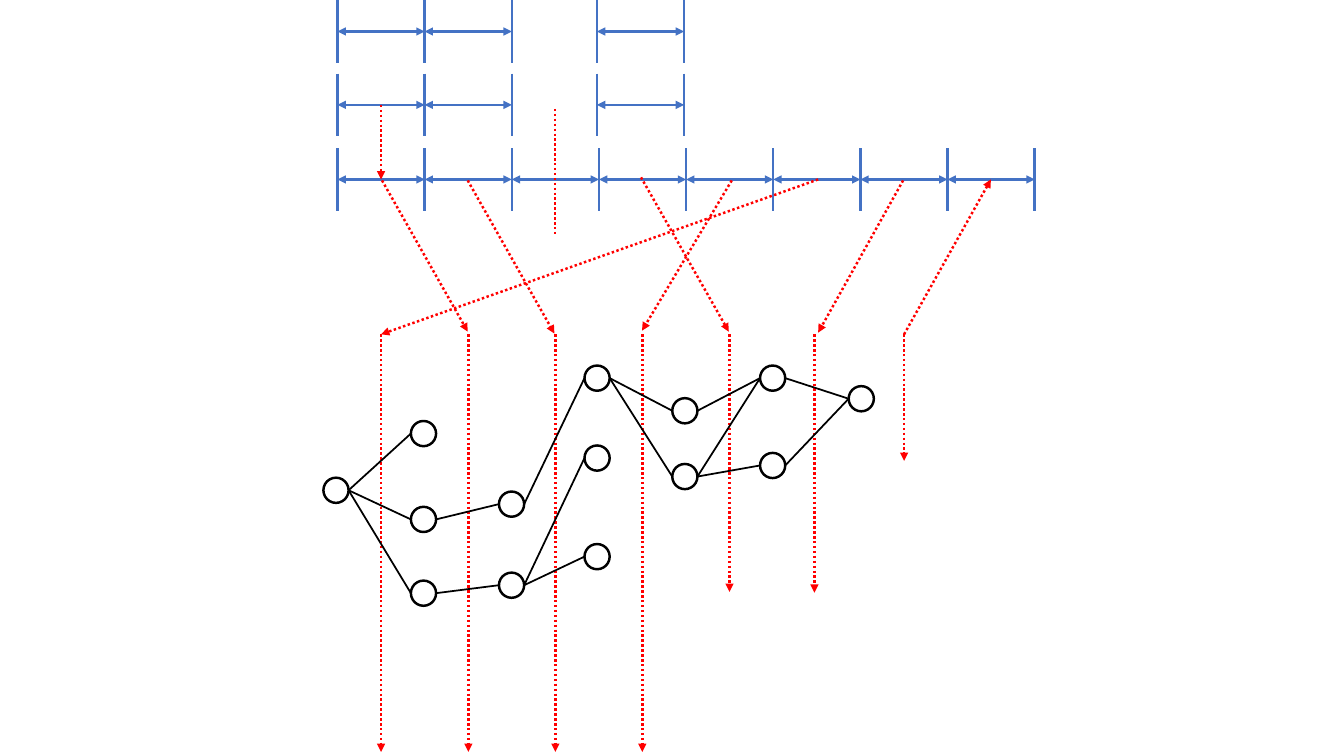
from lxml.etree import SubElement
from pptx import Presentation
from pptx.dml.color import RGBColor
from pptx.enum.dml import MSO_LINE_DASH_STYLE as Dash
from pptx.enum.shapes import MSO_CONNECTOR as Connector, MSO_SHAPE as Shape
from pptx.oxml.ns import qn
from pptx.util import Pt

# Content: the time axis and the extra intervals above it
AXIS_LEFT, AXIS_Y, CELL, CELL_COUNT = 241.1, 128.2, 62.25, 8
TICK_REACH = 22.3
UPPER_ROWS = [74.9, 22.5]
# Each upper interval: left, and whether it closes with its own right tick
UPPER_INTERVALS = [(AXIS_LEFT, False), (AXIS_LEFT + CELL, True), (426.4, True)]

# Dotted links: x, y, x, y
DROPS = [(272.2, 537.1), (334.6, 537.1), (396.7, 537.1), (458.8, 537.1),
         (521.1, 422.8), (581.8, 423.4), (645.8, 329.2)]
DROP_TOP = 238.8
LINKS = [
    (584.4, 128.2, 272.2, 238.8), (645.8, 238.8, 707.8, 128.2),
    (645.1, 128.9, 584.4, 237.6), (522.7, 128.9, 458.6, 236.2),
    (457.9, 126.7, 520.6, 236.9), (334.1, 128.9, 396, 238.3),
    (272.9, 128.9, 334.1, 236.9), (272.2, 74.9, 272.2, 128.2),
]
PLAIN_LINK = (396.5, 77.8, 396.5, 168)

# Graph: node name -> (left, top), then edges by name
NODE_SIZE = 18
NODES = {
    "a1": (231, 341.2),
    "b1": (293.5, 300.7), "b2": (293.5, 362), "b3": (293.5, 414.7),
    "c1": (356.4, 351.1), "c2": (356.4, 409),
    "d1": (417.5, 261.1), "d2": (417.5, 318.2), "d3": (417.5, 388.6),
    "e1": (480.2, 284.4), "e2": (480.2, 331.4),
    "f1": (542.9, 261.1), "f2": (542.9, 323.5),
    "g1": (606.2, 275.8),
}
EDGES = ["a1 b1", "a1 b2", "a1 b3", "b2 c1", "b3 c2", "c1 d1", "c2 d2", "c2 d3",
         "d1 e1", "d1 e2", "e1 f1", "e2 f1", "e2 f2", "f1 g1", "f2 g1"]

THEME = {
    "axis": {"color": "4472C4", "width": 1.75},
    "link": {"color": "FF0000", "width": 1.75, "dash_style": Dash.ROUND_DOT},
    "node": {"color": "000000", "width": 1.75},
    "edge": {"color": "000000", "width": 1.25},
}


def style_line(line, style):
    line.fill.solid()
    line.fill.fore_color.rgb = RGBColor.from_string(style["color"])
    formats = {"width": Pt(style["width"]), "dash_style": style.get("dash_style")}
    for name, value in formats.items():
        if value is not None:
            setattr(line, name, value)


def add_line(shapes, points, style, ends=()):
    """Draw a straight line; ends may hold headEnd and tailEnd, in that order."""
    connector = shapes.add_connector(Connector.STRAIGHT, *[Pt(value) for value in points])
    style_line(connector.line, THEME[style])
    outline = connector.line._get_or_add_ln()
    for end in ends:
        SubElement(outline, qn("a:" + end), type="triangle")
    SubElement(connector._element.spPr, qn("a:effectLst"))


def add_interval(slide, left, middle, closed):
    """Group a double-headed arrow with its left tick and, if closed, its right tick."""
    shapes = slide.shapes.add_group_shape().shapes
    right = left + CELL
    add_line(shapes, (left, middle, right, middle), "axis", ("headEnd", "tailEnd"))
    for x in [left, right] if closed else [left]:
        add_line(shapes, (x, middle - TICK_REACH, x, middle + TICK_REACH), "axis")


def main():
    presentation = Presentation()
    presentation.slide_width, presentation.slide_height = Pt(960), Pt(540)
    slide = presentation.slides.add_slide(presentation.slide_layouts[6])

    # Time axis: only the last interval closes with a right tick
    for index in range(CELL_COUNT):
        add_interval(slide, AXIS_LEFT + index * CELL, AXIS_Y, index == CELL_COUNT - 1)

    # Intervals above the axis
    for middle in UPPER_ROWS:
        for left, closed in UPPER_INTERVALS:
            add_interval(slide, left, middle, closed)

    # Dotted links
    drops = [(x, DROP_TOP, x, bottom) for x, bottom in DROPS]
    for points in drops + LINKS:
        add_line(slide.shapes, points, "link", ("tailEnd",))
    add_line(slide.shapes, PLAIN_LINK, "link")

    # Graph nodes
    for left, top in NODES.values():
        node = slide.shapes.add_shape(Shape.OVAL, Pt(left), Pt(top), Pt(NODE_SIZE), Pt(NODE_SIZE))
        node.shadow.inherit = False
        node.fill.background()
        style_line(node.line, THEME["node"])

    # Graph edges run from right side to left side
    radius = NODE_SIZE / 2
    for edge in EDGES:
        (left, top), (next_left, next_top) = [NODES[name] for name in edge.split()]
        points = (left + NODE_SIZE, top + radius, next_left, next_top + radius)
        add_line(slide.shapes, points, "edge")

    presentation.save("out.pptx")


if __name__ == "__main__":
    main()
